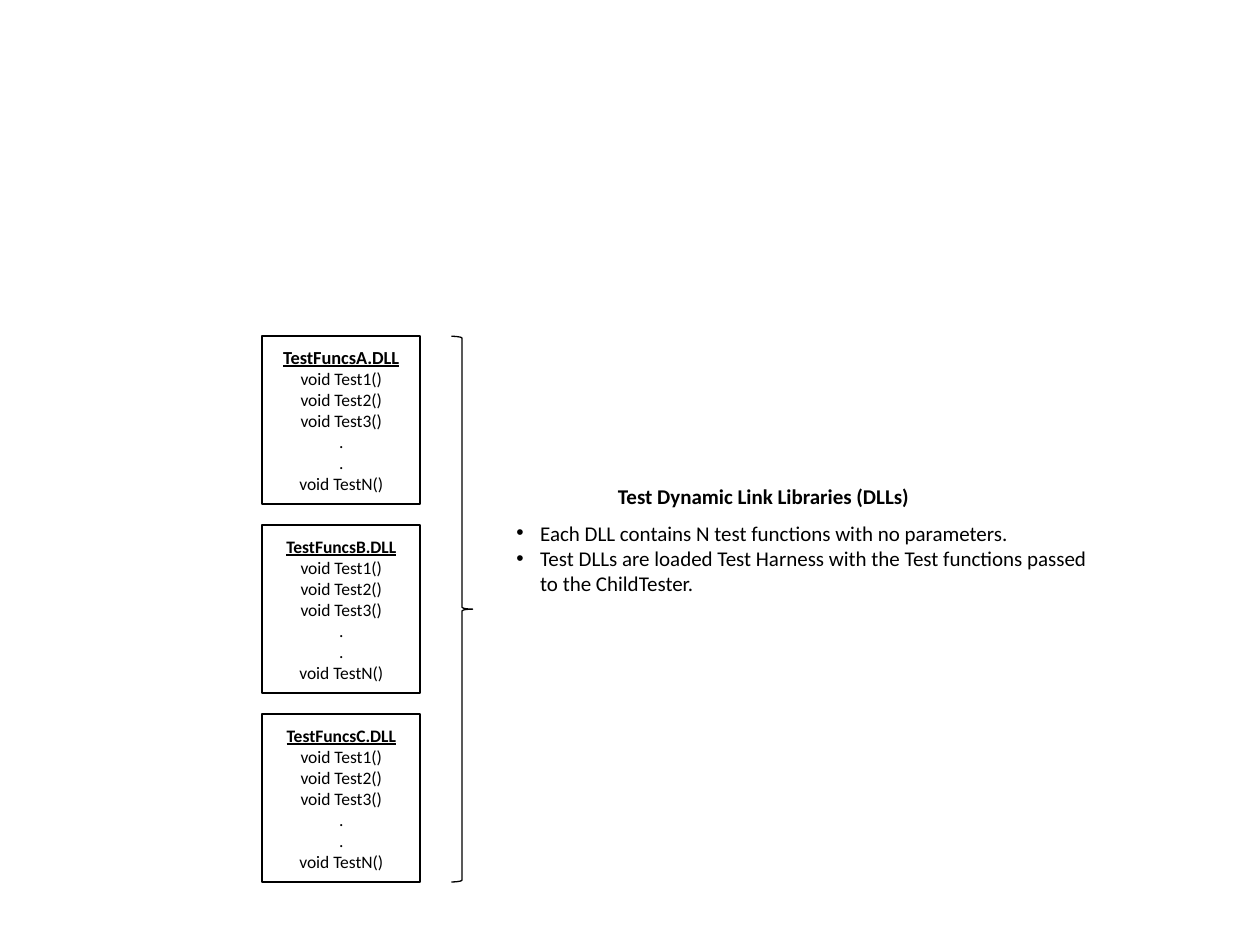
from lxml import etree
from pptx import Presentation
from pptx.dml.color import RGBColor
from pptx.enum.shapes import MSO_SHAPE as Shape
from pptx.enum.text import MSO_ANCHOR as Anchor, MSO_AUTO_SIZE as AutoSize, PP_ALIGN as Align
from pptx.oxml.ns import qn
from pptx.util import Cm, Pt

# Content
LIBRARIES = [("TestFuncsA.DLL", 10.5), ("TestFuncsB.DLL", 10), ("TestFuncsC.DLL", 10)]
FUNCTIONS = ["void Test1()", "void Test2()", "void Test3()", ".", ".", "void TestN()"]
HEADING = "Test Dynamic Link Libraries (DLLs)"
NOTES = [
    "Each DLL contains N test functions with no parameters.",
    "Test DLLs are loaded Test Harness with the Test functions passed to the ChildTester.",
]

# Style and layout
BLACK = RGBColor(0, 0, 0)
WHITE = RGBColor(255, 255, 255)
FONT = "Calibri"
LEFT, TOP = Cm(5.29), Cm(6.78)
BOX_WIDTH, BOX_HEIGHT, PITCH = Cm(3.18), Cm(3.38), Cm(3.81)
INDENT = Cm(0.48)

prs = Presentation()
prs.slide_width, prs.slide_height = Cm(25.4), Cm(19.05)
slide = prs.slides.add_slide(prs.slide_layouts[6])


def write(frame, lines, size, align=Align.LEFT):
    frame.word_wrap = True
    frame.text = "\n".join(lines)
    for para in frame.paragraphs:
        para.alignment = align
        para.font.name, para.font.size = FONT, Pt(size)
        para.font.color.rgb = BLACK
    return frame.paragraphs


def add_outline(kind, left, top, width, height, weight):
    shape = slide.shapes.add_shape(kind, left, top, width, height)
    shape.shadow.inherit = False
    shape.line.color.rgb, shape.line.width = BLACK, Pt(weight)
    return shape


def add_text(left, top, width, height, lines, align=Align.LEFT):
    frame = slide.shapes.add_textbox(left, top, width, height).text_frame
    frame.auto_size = AutoSize.SHAPE_TO_FIT_TEXT
    return write(frame, lines, 12, align)


# Library boxes
for row, (library, name_size) in enumerate(LIBRARIES):
    box = add_outline(Shape.RECTANGLE, LEFT, TOP + row * PITCH, BOX_WIDTH, BOX_HEIGHT, 1)
    box.fill.solid()
    box.fill.fore_color.rgb = WHITE
    box.text_frame.vertical_anchor = Anchor.MIDDLE
    name = write(box.text_frame, [library, *FUNCTIONS], 10, Align.CENTER)[0]
    name.font.size = Pt(name_size)
    name.font.bold = name.font.underline = True

# Brace spanning all boxes
span = (len(LIBRARIES) - 1) * PITCH + BOX_HEIGHT
brace = add_outline(Shape.RIGHT_BRACE, Cm(9.1), TOP, Cm(0.43), span, 0.75)
brace.fill.background()

# Heading
heading = add_text(Cm(12.07), Cm(9.63), Cm(6.65), Cm(0.76), [HEADING], Align.CENTER)[0]
heading.font.bold = True

# Bulleted notes
for note in add_text(Cm(10.16), Cm(10.36), Cm(12.07), Cm(1.8), NOTES):
    props = note._p.get_or_add_pPr()
    props.set("marL", str(INDENT))
    props.set("indent", str(-INDENT))
    bullet_font = etree.Element(qn("a:buFont"), typeface="Arial")
    bullet = etree.Element(qn("a:buChar"), char="•")
    props.insert(0, bullet_font)
    props.insert(1, bullet)

prs.save("out.pptx")
